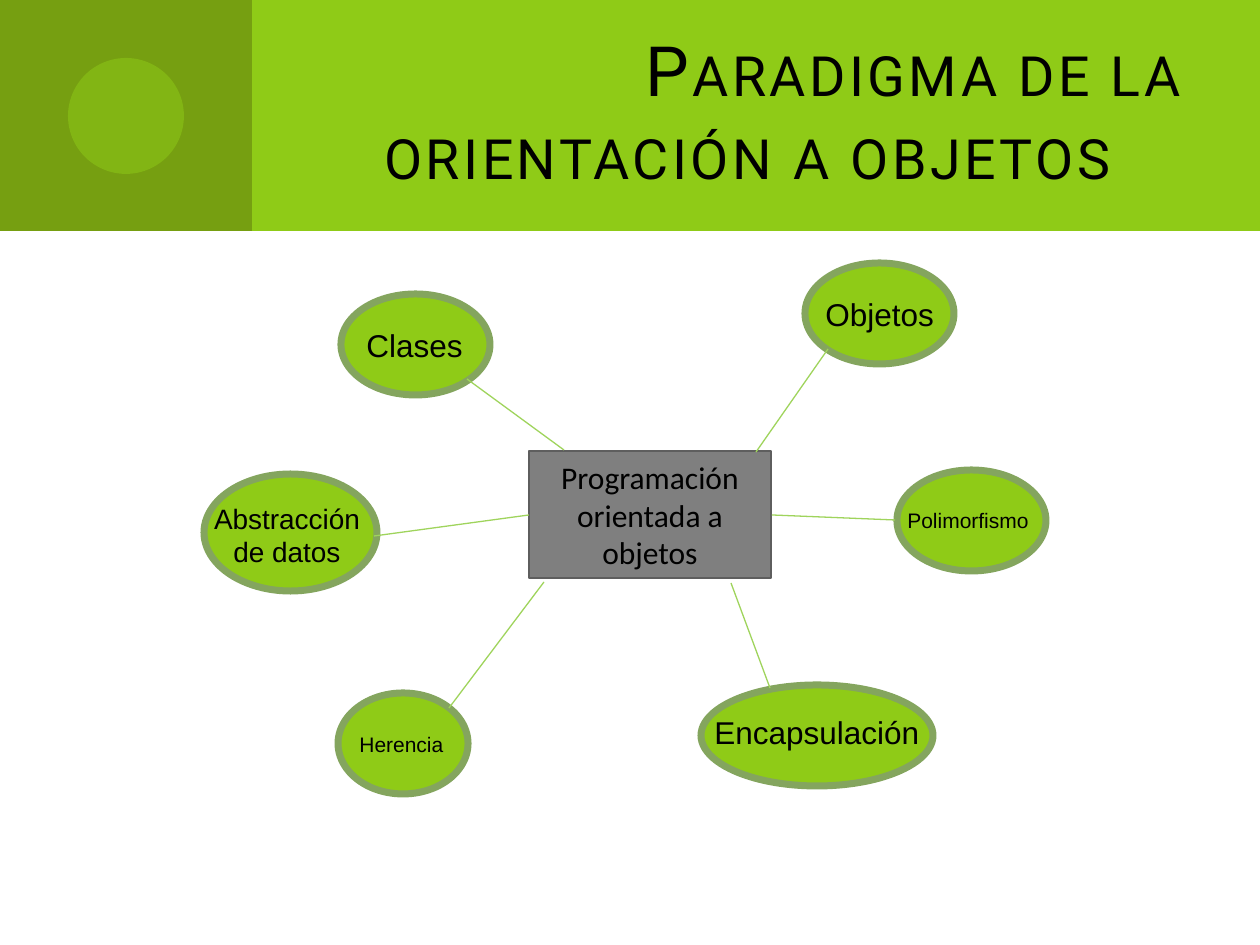
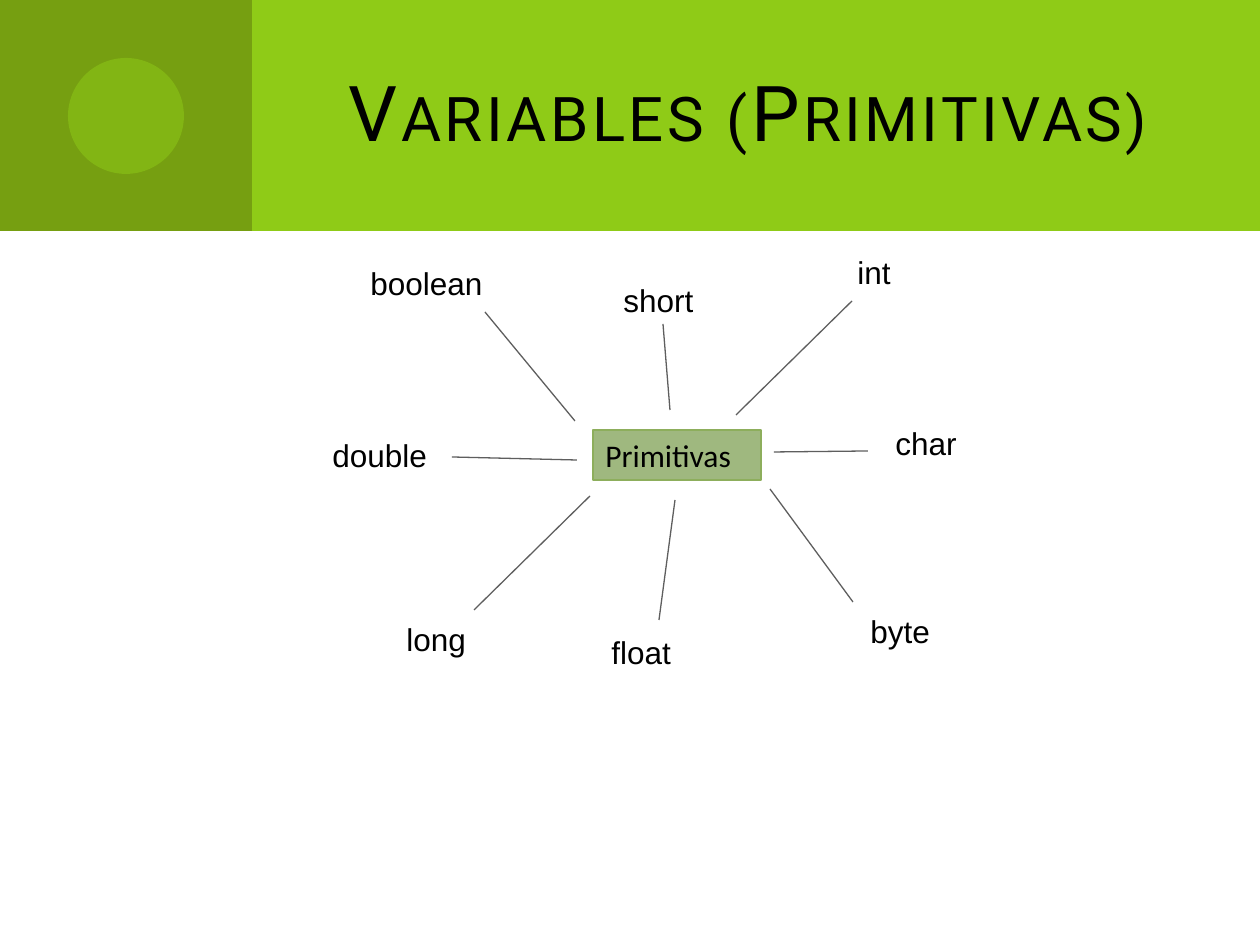
import pptx
import pptx.dml.color
import pptx.enum.shapes
import pptx.enum.text
import pptx.oxml
import pptx.oxml.ns
import pptx.util
from lxml import etree

PX = 914400 / 126
COLORS = {
    "green": "8FCB17", "dark green": "769F11", "ring": "84A55E", "spoke": "9FD45C",
    "grey": "7F7F7F", "dark grey": "5E5E5E", "sage": "9FB87F", "sage edge": "8DAE5C",
    "text": "000000",
}
RGB = {name: pptx.dml.color.RGBColor.from_string(code) for name, code in COLORS.items()}
SHAPE = pptx.enum.shapes.MSO_SHAPE
ALIGN = pptx.enum.text.PP_ALIGN
LEFT, CENTER, RIGHT = ALIGN.LEFT, ALIGN.CENTER, ALIGN.RIGHT

# Boxes are (left, top, width, height); lines are (x1, y1, x2, y2).
DIAGRAMS = [
    {
        "title": "Paradigma de la orientación a objetos", "title size": 39.6,
        "ellipses": [
            (204, 474, 173, 117), (338, 693, 130, 101), (701, 685, 232, 101),
            (897, 470, 149, 101), (805, 263, 149, 101), (341, 294, 149, 101),
        ],
        "hub": ("Programación orientada a objetos", (529, 451, 242, 127), CENTER,
                "grey", "dark grey"),
        "labels": [
            ("Clases", (354, 320, 136, 50), 18, LEFT),
            ("Objetos", (813, 289, 151, 50), 18, LEFT),
            ("Encapsulación", (702, 707, 242, 50), 18, LEFT),
            ("Herencia", (347, 725, 110, 38), 12, LEFT),
            ("Polimorfismo", (895, 501, 166, 38), 12, LEFT),
            ("Abstracción de datos", (198, 495, 178, 81), 16, CENTER),
        ],
        "line color": "spoke",
        "lines": [
            (467, 379, 564, 450), (756, 452, 828, 349), (772, 515, 895, 520),
            (770, 688, 731, 583), (544, 582, 449, 708), (374, 536, 529, 515),
        ],
    },
    {
        "title": "Variables (Primitivas)", "title size": 44,
        "ellipses": [],
        "hub": ("Primitivas", (593, 430, 168, 50), LEFT, "sage", "sage edge"),
        "labels": [
            ("boolean", (358, 258, 210, 50), 18, LEFT),
            ("int", (845, 247, 210, 50), 18, LEFT),
            ("byte", (858, 606, 210, 50), 18, LEFT),
            ("long", (394, 614, 210, 50), 18, LEFT),
            ("double", (320, 430, 210, 50), 18, LEFT),
            ("short", (611, 275, 210, 50), 18, LEFT),
            ("char", (883, 418, 116, 50), 18, LEFT),
            ("float", (599, 627, 210, 50), 18, LEFT),
        ],
        "line color": "dark grey",
        "lines": [
            (575, 421, 485, 312), (577, 460, 452, 457), (590, 496, 474, 610),
            (852, 301, 736, 415), (868, 451, 774, 452), (853, 602, 770, 489),
            (659, 620, 675, 500), (670, 410, 663, 324),
        ],
    },
]


def add_figure(slide, kind, box, fill, line=None, line_width=0.75):
    shape = slide.shapes.add_shape(kind, *[round(value * PX) for value in box])
    shape.shadow.inherit = False
    shape.fill.solid()
    shape.fill.fore_color.rgb = RGB[fill]
    if line:
        shape.line.color.rgb = RGB[line]
        shape.line.width = pptx.util.Pt(line_width)
    else:
        shape.line.fill.background()
    return shape


def write(shape, text, size, font, alignment):
    """Set one paragraph of text and return its run."""
    shape.text_frame.text = text
    shape.text_frame.word_wrap = True
    paragraph = shape.text_frame.paragraphs[0]
    paragraph.alignment = alignment
    run = paragraph.runs[0]
    run.font.size = pptx.util.Pt(size)
    run.font.name = font
    run.font.color.rgb = RGB["text"]
    return run


presentation = pptx.Presentation()
presentation.slide_width = round(1260 * PX)
presentation.slide_height = round(945 * PX)
layout = presentation.slide_layouts[5]
slides = [presentation.slides.add_slide(layout) for diagram in DIAGRAMS]

# The header band is drawn once and moved to the slide master.
band = add_figure(slides[0], SHAPE.RECTANGLE, (0, 0, 1260, 231), "green")
corner = add_figure(slides[0], SHAPE.RECTANGLE, (0, 0, 252, 231), "dark green")
disc = add_figure(slides[0], SHAPE.OVAL, (68, 58, 116, 116), "green")
disc_color = disc.element.spPr.find(".//" + pptx.oxml.ns.qn("a:srgbClr"))
etree.SubElement(disc_color, pptx.oxml.ns.qn("a:alpha"), val="50000")
master_tree = presentation.slide_master.shapes.element
for index, shape in enumerate([band, corner, disc]):
    shape.element.nvSpPr.cNvPr.set("id", str(20 + index))
    master_tree.insert(2 + index, shape.element)

for slide, diagram in zip(slides, DIAGRAMS):
    title = slide.shapes.title
    title.left, title.top, title.width, title.height = [
        round(value * PX) for value in (336, 32, 861, 157)]
    run = write(title, diagram["title"], diagram["title size"], "Roboto", RIGHT)
    title.text_frame.vertical_anchor = pptx.enum.text.MSO_ANCHOR.MIDDLE
    title.text_frame.auto_size = pptx.enum.text.MSO_AUTO_SIZE.NONE
    run_properties = run.font._element if hasattr(run.font, "_element") else run._r.get_or_add_rPr()
    run_properties.set("cap", "small")
    run_properties.set("spc", "200")

    for box in diagram["ellipses"]:
        add_figure(slide, SHAPE.OVAL, box, "green", "ring", 4)

    text, box, alignment, fill, edge = diagram["hub"]
    hub = add_figure(slide, SHAPE.RECTANGLE, box, fill, edge)
    write(hub, text, 18, "Calibri", alignment)

    for text, box, size, alignment in diagram["labels"]:
        label = slide.shapes.add_textbox(*[round(value * PX) for value in box])
        write(label, text, size, "Arial", alignment)

    for ends in diagram["lines"]:
        connector = slide.shapes.add_connector(
            pptx.enum.shapes.MSO_CONNECTOR.STRAIGHT, *[round(value * PX) for value in ends])
        connector.line.color.rgb = RGB[diagram["line color"]]
        connector.line.width = pptx.util.Pt(0.75)
        etree.SubElement(connector.element.spPr, pptx.oxml.ns.qn("a:effectLst"))

presentation.save("out.pptx")
